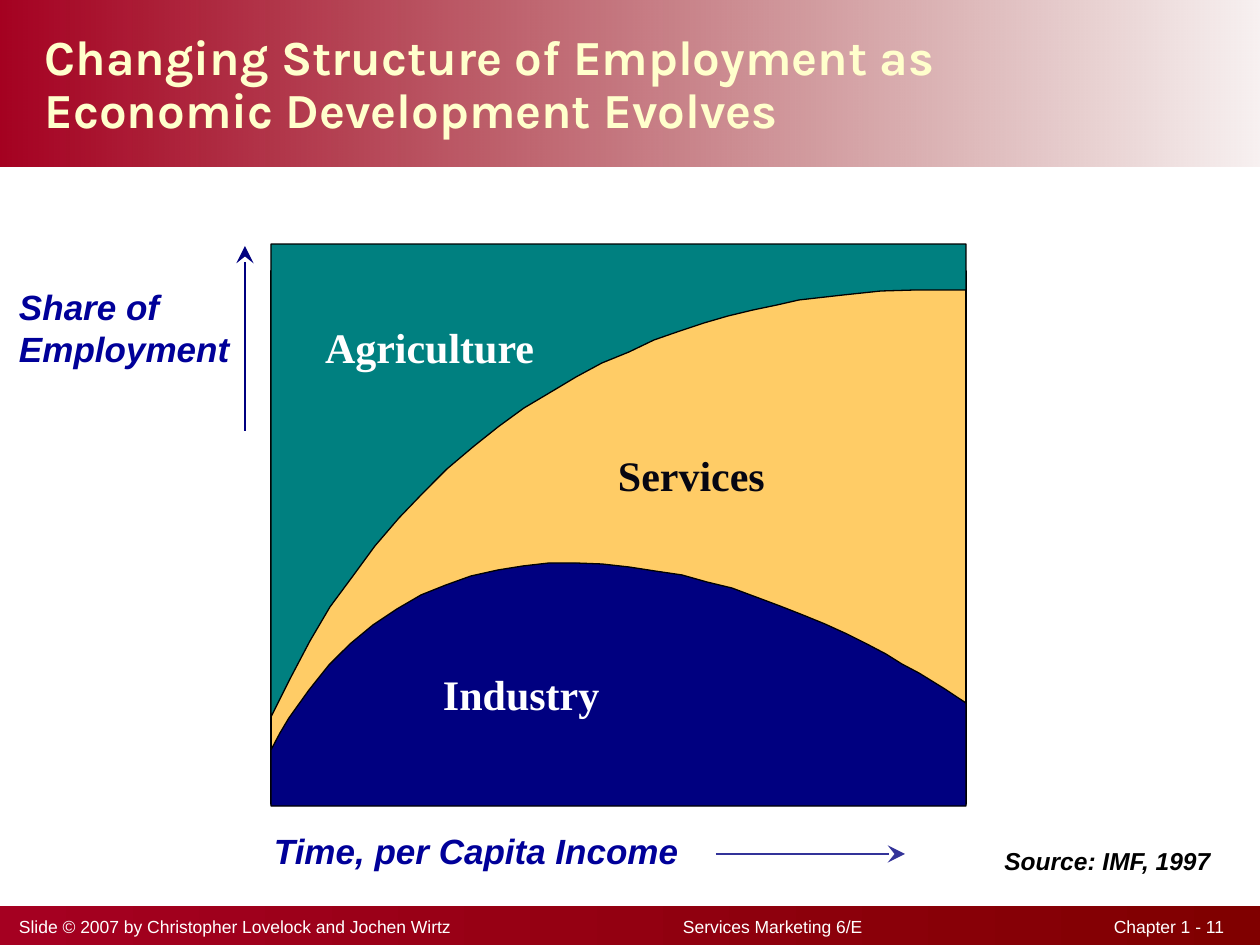
from lxml import etree
from pptx import Presentation, util as u
from pptx.dml.color import RGBColor
from pptx.enum import shapes, text
from pptx.oxml.ns import qn

PX = u.Inches(1) / 126
WIDTH, HEIGHT = 1260, 945

WHITE, BLACK = RGBColor(0xFF, 0xFF, 0xFF), RGBColor(0, 0, 0)
MAROON, CRIMSON = RGBColor(0x80, 0, 0), RGBColor(0xA5, 0, 0x21)
CREAM, GOLD = RGBColor(0xFF, 0xFF, 0xCC), RGBColor(0xFF, 0xCC, 0x66)
TEAL, NAVY = RGBColor(0, 0x80, 0x80), RGBColor(0, 0, 0x80)
BLUE, INDIGO = RGBColor(0, 0, 0x99), RGBColor(0x33, 0x33, 0x99)
INK = RGBColor(0x06, 0x06, 0x12)

TITLE = "Changing Structure of Employment as Economic Development Evolves"
FOOTER = ["Slide © 2007 by Christopher Lovelock and Jochen Wirtz",
          "Services Marketing 6/E", "Chapter 1 - 11"]
FOOTER_LEFT = 19
FOOTER_TABS = [(683, "l"), (1224, "r")]

# plot area and the two boundaries between the sectors
LEFT, TOP, RIGHT, BOTTOM = 271, 244, 966, 806
SERVICES_TOP = 271
AGRICULTURE_EDGE = [
    (LEFT, 717), (290, 679), (310, 641), (330, 607), (353, 576), (375, 546),
    (399, 518), (423, 493), (447, 469), (473, 447), (498, 427), (524, 408),
    (551, 392), (576, 377), (602, 363), (629, 352), (654, 340), (680, 331),
    (704, 323), (728, 316), (753, 310), (777, 305), (799, 300), (843, 295),
    (881, 291), (915, 290), (RIGHT, 290)]
INDUSTRY_EDGE = [
    (LEFT, 750), (280, 733), (289, 718), (309, 690), (329, 665), (350, 644),
    (373, 625), (397, 609), (421, 595), (446, 585), (471, 576), (498, 570),
    (523, 566), (549, 563), (576, 563), (602, 564), (629, 567), (655, 571),
    (682, 575), (707, 582), (732, 588), (756, 597), (780, 606), (803, 615),
    (825, 624), (847, 634), (867, 644), (886, 654), (902, 664), (919, 673),
    (945, 689), (RIGHT, 703)]
AREAS = [(AGRICULTURE_EDGE, TOP, TEAL), (INDUSTRY_EDGE, BOTTOM, NAVY)]

# lines, box, font, size, colour, italic
SERIF, SANS = "Times New Roman", "Arial"
LABELS = [
    (["Industry"], (443, 669, 164, 50), SERIF, 24, WHITE, False),
    (["Services"], (618, 450, 155, 50), SERIF, 24, INK, False),
    (["Agriculture"], (325, 322, 218, 50), SERIF, 24, WHITE, False),
    (["Time, per Capita Income"], (274, 829, 484, 42), SANS, 20, BLUE, True),
    (["Share of", "Employment"], (19, 286, 218, 84), SANS, 20, BLUE, True),
]
SOURCE = (["Source: IMF, 1997"], (955, 840, 305, 43), SANS, 14, BLACK, True)
ARROWS = [((245, 431), (245, 246), NAVY), ((716, 854), (905, 854), INDIGO)]


def px(*values):
    return [u.Emu(round(v * PX)) for v in values]


def add_run(p, words, font, size, color, bold=True, italic=False):
    r = p.add_run()
    r.text = words
    r.font.name, r.font.size = font, u.Pt(size)
    r.font.bold, r.font.italic = bold, italic
    r.font.color.rgb = color


def add_band(s, top, height, right_alpha=None):
    """Full-width bar shading from crimson at left to maroon at right."""
    sp = s.shapes.add_shape(shapes.MSO_SHAPE.RECTANGLE, *px(0, top, WIDTH, height))
    sp.shadow.inherit = False
    sp.line.fill.background()
    sp.fill.gradient()
    sp.fill.gradient_angle = 180
    for stop, color, position in zip(sp.fill.gradient_stops, (MAROON, CRIMSON), (0, 1)):
        stop.color.rgb, stop.position = color, position
    if right_alpha is not None:
        color = next(sp.element.iter(qn("a:srgbClr")))
        etree.SubElement(color, qn("a:alpha"), val=str(right_alpha * 1000))


def paint(sp, color):
    sp.shadow.inherit = False
    sp.fill.solid()
    sp.fill.fore_color.rgb = color
    sp.line.color.rgb, sp.line.width = BLACK, u.Pt(0.75)


def add_area(s, edge, base, color):
    """Region between a boundary curve and the plot's top or bottom."""
    fb = s.shapes.build_freeform(*edge[0], scale=PX)
    fb.add_line_segments(edge[1:] + [(RIGHT, base), (LEFT, base)], close=True)
    paint(fb.convert_to_shape(), color)


def add_label(s, lines, box, font, size, color, italic):
    tf = s.shapes.add_textbox(*px(*box)).text_frame
    tf.margin_left = tf.margin_right = tf.margin_top = tf.margin_bottom = 0
    tf.word_wrap = True
    for i, words in enumerate(lines):
        p = tf.add_paragraph() if i else tf.paragraphs[0]
        add_run(p, words, font, size, color, italic=italic)
    return tf


def add_arrow(s, start, end, color):
    line = s.shapes.add_connector(shapes.MSO_CONNECTOR.STRAIGHT, *px(*start, *end))
    line.line.color.rgb, line.line.width = color, u.Pt(1.5)
    props = line.element.spPr
    etree.SubElement(props.find(qn("a:ln")), qn("a:tailEnd"),
                     type="stealth", w="lg", len="lg")
    etree.SubElement(props, qn("a:effectLst"))


def add_footer(s):
    tf = s.shapes.add_textbox(*px(0, 910, 1239, 34)).text_frame
    tf.word_wrap = True
    tf.margin_left = px(FOOTER_LEFT)[0]
    p = tf.paragraphs[0]
    tabs = etree.SubElement(p._p.get_or_add_pPr(), qn("a:tabLst"))
    for x, align in FOOTER_TABS:
        etree.SubElement(tabs, qn("a:tab"), pos=str(px(x - FOOTER_LEFT)[0]), algn=align)
    add_run(p, "\t".join(FOOTER), SANS, 10, WHITE, bold=False)


def format_title(title):
    title.left, title.top, title.width, title.height = px(32, 3, 1040, 166)
    tf = title.text_frame
    tf.word_wrap, tf.auto_size = True, text.MSO_AUTO_SIZE.NONE
    tf.vertical_anchor = text.MSO_ANCHOR.MIDDLE
    p = tf.paragraphs[0]
    p.alignment, p.line_spacing = text.PP_ALIGN.LEFT, 0.9
    add_run(p, TITLE, "Karla", 28, CREAM)


def main():
    prs = Presentation()
    prs.slide_width, prs.slide_height = px(WIDTH, HEIGHT)
    s = prs.slides.add_slide(prs.slide_layouts[5])

    add_band(s, 0, 167, right_alpha=6)
    add_band(s, 906, 39)
    add_footer(s)
    title = s.shapes.title
    title.element.getparent().append(title.element)  # in front of the bands
    format_title(title)

    services = s.shapes.add_shape(
        shapes.MSO_SHAPE.RECTANGLE,
        *px(LEFT, SERVICES_TOP, RIGHT - LEFT, BOTTOM - SERVICES_TOP - 2))
    paint(services, GOLD)
    for area in AREAS:
        add_area(s, *area)
    for label in LABELS:
        add_label(s, *label)
    for arrow in ARROWS:
        add_arrow(s, *arrow)

    tf = add_label(s, *SOURCE)
    tf.margin_top = px(6)[0]
    tf.paragraphs[0].alignment = text.PP_ALIGN.CENTER
    prs.save("out.pptx")


if __name__ == "__main__":
    main()
